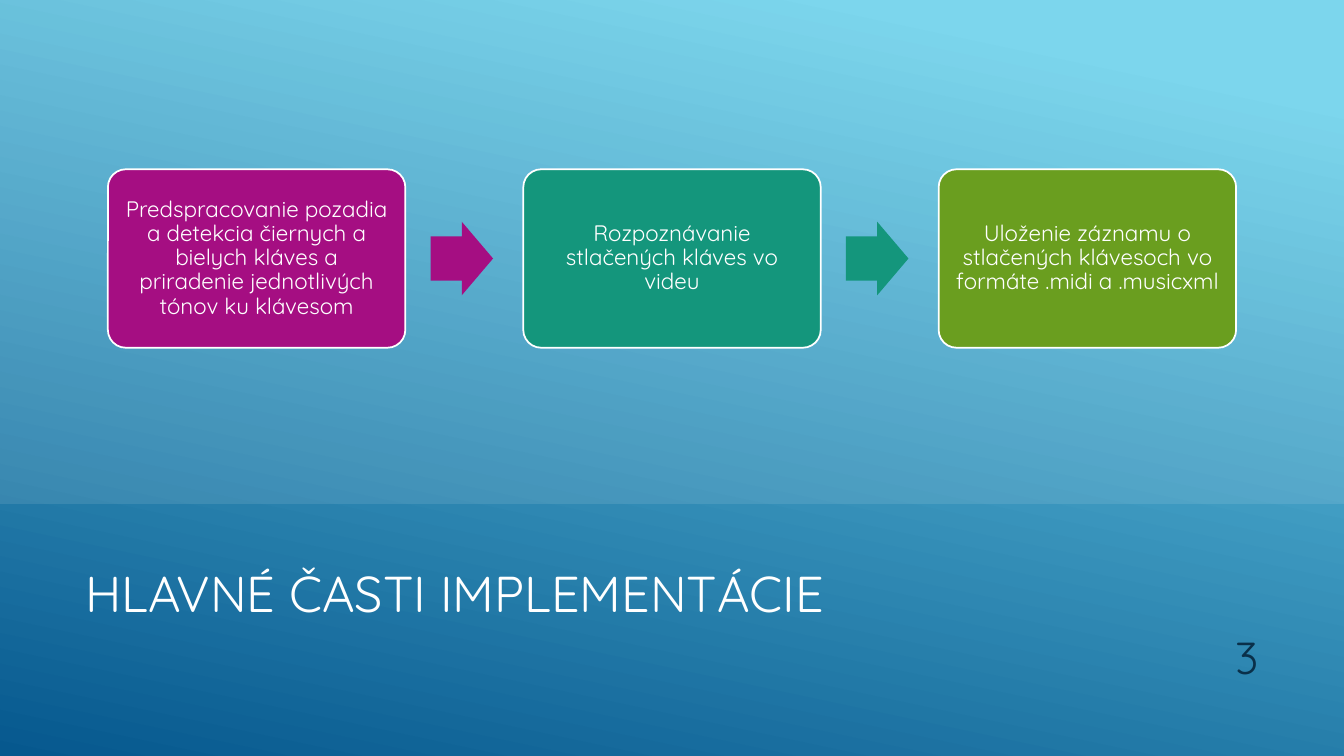
from lxml.etree import SubElement
from pptx import Presentation
from pptx.dml.color import RGBColor
from pptx.enum.shapes import MSO_SHAPE
from pptx.enum.text import MSO_ANCHOR, PP_ALIGN
from pptx.oxml.ns import qn
from pptx.util import Inches, Pt

# Content
TITLE = "HLAVNÉ ČASTI IMPLEMENTÁCIE"
NUMBER = "3"
FONT = "Quicksand"
WHITE = RGBColor(0xFF, 0xFF, 0xFF)
NAVY = RGBColor(0x0A, 0x30, 0x4A)
SKY = RGBColor(0x6E, 0xD2, 0xEB)
DEEP = RGBColor(0x06, 0x58, 0x8E)
STEPS = [
    ("Predspracovanie pozadia a detekcia čiernych a bielych kláves a "
     "priradenie jednotlivých tónov ku klávesom", RGBColor(0xA5, 0x0E, 0x82)),
    ("Rozpoznávanie stlačených kláves vo videu", RGBColor(0x14, 0x96, 0x7C)),
    ("Uloženie záznamu o stlačených klávesoch vo formáte .midi a .musicxml",
     RGBColor(0x6A, 0x9E, 0x1F)),
]

# Grid of the process, in inches
SLIDE_W, SLIDE_H = 13.33, 7.5
LEFT, TOP, PITCH = 1.07, 1.68, 4.12
BOX_W, BOX_H = 2.95, 1.77
ARROW_W, ARROW_H, ARROW_GAP = 0.62, 0.73, 0.25


def add_shape(kind, x, y, w, h, color=None, adj=()):
    sp = s.shapes.add_shape(kind, Inches(x), Inches(y), Inches(w), Inches(h))
    sp.shadow.inherit = False
    sp.line.fill.background()
    if color is not None:
        sp.fill.solid()
        sp.fill.fore_color.rgb = color
    for i, value in enumerate(adj):
        sp.adjustments[i] = value
    return sp


def write(sp, text, size, color, align, anchor):
    tf = sp.text_frame
    tf.word_wrap = True
    tf.vertical_anchor = anchor
    p = tf.paragraphs[0]
    p.alignment = align
    r = p.add_run()
    r.text = text
    r.font.name = FONT
    r.font.size = Pt(size)
    r.font.color.rgb = color
    return p


prs = Presentation()
prs.slide_width, prs.slide_height = Inches(SLIDE_W), Inches(SLIDE_H)
s = prs.slides.add_slide(prs.slide_layouts[5])

# Gradient backdrop
backdrop = add_shape(MSO_SHAPE.RECTANGLE, 0, 0, SLIDE_W, SLIDE_H)
backdrop.fill.gradient()
backdrop.fill.gradient_angle = 258
for stop, position, color in zip(backdrop.fill.gradient_stops, (0.1, 1), (SKY, DEEP)):
    stop.position = position
    stop.color.rgb = color

# Title, raised above the backdrop
title = s.shapes.title
title.left, title.top = Inches(0.75), Inches(5.25)
title.width, title.height = Inches(10.14), Inches(1.26)
write(title, TITLE, 36, WHITE, PP_ALIGN.LEFT, MSO_ANCHOR.MIDDLE)
s.shapes.element.append(title.element)

# Translucent upper panel
panel = add_shape(MSO_SHAPE.SNIP_2_DIAG_RECTANGLE, 0, 0, SLIDE_W, SLIDE_H * 2 / 3,
                  WHITE, (0, 0))
rgb = panel.element.spPr.find(qn("a:solidFill")).find(qn("a:srgbClr"))
SubElement(rgb, qn("a:alpha")).set("val", "10000")

# Slide number
number = s.shapes.add_textbox(Inches(11.33), Inches(6.1), Inches(1.25), Inches(0.73))
p = write(number, NUMBER, 32, NAVY, PP_ALIGN.RIGHT, MSO_ANCHOR.BOTTOM)
p.space_after = Pt(6)

# Process steps, each but the last followed by an arrow
for i, (text, color) in enumerate(STEPS):
    x = LEFT + i * PITCH
    box = add_shape(MSO_SHAPE.ROUNDED_RECTANGLE, x, TOP, BOX_W, BOX_H, color, (0.1,))
    box.line.color.rgb = WHITE
    box.line.width = Pt(1.25)
    tf = box.text_frame
    tf.margin_left = tf.margin_right = tf.margin_top = tf.margin_bottom = Inches(0.07)
    p = write(box, text, 16, WHITE, PP_ALIGN.CENTER, MSO_ANCHOR.MIDDLE)
    p.line_spacing = 0.9
    if i < len(STEPS) - 1:
        add_shape(MSO_SHAPE.RIGHT_ARROW, x + BOX_W + ARROW_GAP,
                  TOP + (BOX_H - ARROW_H) / 2, ARROW_W, ARROW_H, color, (0.6, 0.5))

prs.save("out.pptx")
